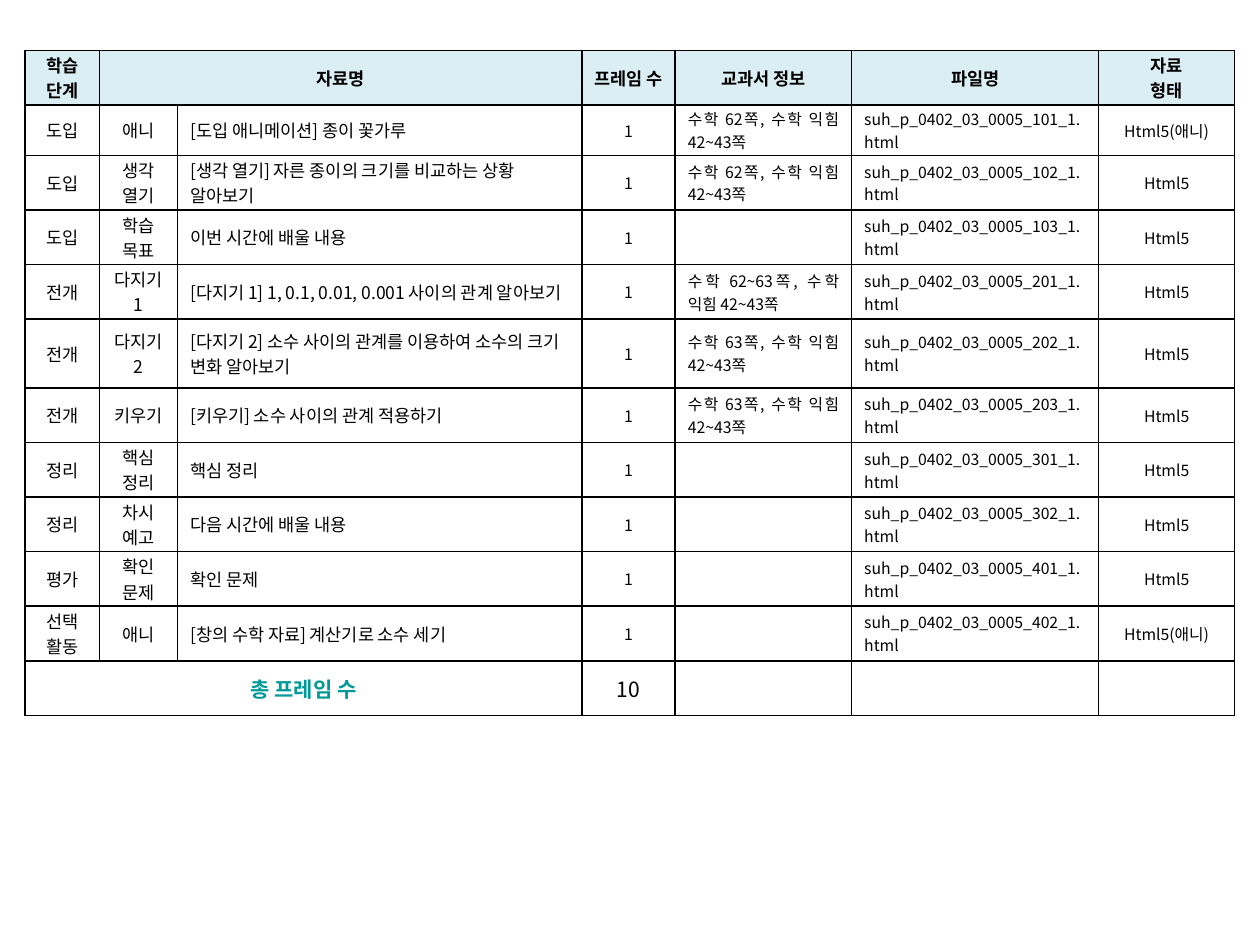
from dataclasses import dataclass

from lxml import etree
from pptx import Presentation
from pptx.dml.color import RGBColor
from pptx.enum.text import MSO_ANCHOR, PP_ALIGN
from pptx.oxml.ns import qn
from pptx.util import Pt

CENTER, LEFT, JUSTIFY = PP_ALIGN.CENTER, PP_ALIGN.LEFT, PP_ALIGN.JUSTIFY
MIDDLE = MSO_ANCHOR.MIDDLE
BLANK_LAYOUT = 6


@dataclass(frozen=True)
class Theme:
    """Colours, type sizes and measures of the slide."""
    font: str = "Noto Sans CJK KR"
    ink: str = "000000"
    accent: str = "009999"
    header_fill: str = "DBEEF4"
    body: int = 10
    small: int = 9
    total: int = 12
    border: int = 1
    side_margin: float = 7.2
    end_margin: int = 1


THEME = Theme()
TABLE_BOX = (14.4, 28.8, 691.2, 380.2)
COLUMN_WIDTHS = (42.5, 44.6, 231.1, 53.3, 100.8, 141.1, 77.8)
ROW_HEIGHTS = (31.2, 28.8, *[31.2] * 3, 39.4, *[31.2] * 6)
ALIGNMENTS = (CENTER, CENTER, LEFT, CENTER, JUSTIFY, JUSTIFY, CENTER)
SIZES = (THEME.body,) * 3 + (THEME.small,) * 4
HEADERS = ("학습 단계", "자료명", "", "프레임 수", "교과서 정보", "파일명", "자료\n형태")
MATERIALS = (
    ("도입", "애니", "[도입 애니메이션] 종이 꽃가루", "62", 101, "Html5(애니)"),
    ("도입", "생각 열기", "[생각 열기] 자른 종이의 크기를 비교하는 상황 알아보기", "62", 102, "Html5"),
    ("도입", "학습 목표", "이번 시간에 배울 내용", "", 103, "Html5"),
    ("전개", "다지기 1", "[다지기 1] 1, 0.1, 0.01, 0.001 사이의 관계 알아보기", "62~63", 201, "Html5"),
    ("전개", "다지기 2", "[다지기 2] 소수 사이의 관계를 이용하여 소수의 크기 변화 알아보기", "63", 202, "Html5"),
    ("전개", "키우기", "[키우기] 소수 사이의 관계 적용하기", "63", 203, "Html5"),
    ("정리", "핵심 정리", "핵심 정리", "", 301, "Html5"),
    ("정리", "차시 예고", "다음 시간에 배울 내용", "", 302, "Html5"),
    ("평가", "확인 문제", "확인 문제", "", 401, "Html5"),
    ("선택 활동", "애니", "[창의 수학 자료] 계산기로 소수 세기", "", 402, "Html5(애니)"),
)


def format_cell(cell, fill=None):
    """Set the borders, fill, margins and anchor of a cell."""
    properties = cell._tc.get_or_add_tcPr()
    for side in ("a:lnL", "a:lnR", "a:lnT", "a:lnB"):
        line = etree.SubElement(properties, qn(side), w=str(Pt(THEME.border)))
        solid = etree.SubElement(line, qn("a:solidFill"))
        etree.SubElement(solid, qn("a:srgbClr"), val=THEME.ink)
    if fill:
        cell.fill.solid()
        cell.fill.fore_color.rgb = RGBColor.from_string(fill)
    else:
        cell.fill.background()
    cell.margin_left = cell.margin_right = Pt(THEME.side_margin)
    cell.margin_top = cell.margin_bottom = Pt(THEME.end_margin)
    cell.vertical_anchor = MIDDLE


def write_cell(cell, text, size, align=CENTER, bold=False, color=THEME.ink):
    """Write each line of the text as a paragraph of the cell."""
    frame = cell.text_frame
    for index, line in enumerate(text.split("\n")):
        para = frame.add_paragraph() if index else frame.paragraphs[0]
        para.alignment = align
        span = para.add_run()
        span.text = line
        span.font.size = Pt(size)
        span.font.bold = bold
        span.font.color.rgb = RGBColor.from_string(color)
        span.font.name = THEME.font
        etree.SubElement(span.font._element, qn("a:ea"), typeface=THEME.font)


def material_texts(stage, activity, title, pages, code, kind):
    """Return the seven cell texts of one material."""
    textbook = f"수학 {pages}쪽, 수학 익힘 42~43쪽" if pages else ""
    return stage, activity, title, "1", textbook, f"suh_p_0402_03_0005_{code}_1.html", kind


def add_material_table(page, box):
    """Place the table of lesson materials in the box."""
    table = page.shapes.add_table(
        len(ROW_HEIGHTS), len(COLUMN_WIDTHS), *map(Pt, box)).table
    table.first_row = table.horz_banding = False
    for column, width in zip(table.columns, COLUMN_WIDTHS):
        column.width = Pt(width)
    for index, (row, height) in enumerate(zip(table.rows, ROW_HEIGHTS)):
        row.height = Pt(height)
        for cell in row.cells:
            format_cell(cell, None if index else THEME.header_fill)

    total_row = len(ROW_HEIGHTS) - 1
    table.cell(0, 1).merge(table.cell(0, 2))
    table.cell(total_row, 0).merge(table.cell(total_row, 2))

    for cell, text in zip(table.rows[0].cells, HEADERS):
        if text:
            write_cell(cell, text, THEME.body, bold=True)
    for index, material in enumerate(MATERIALS, start=1):
        texts = material_texts(*material)
        for cell, text, size, align in zip(table.rows[index].cells, texts, SIZES, ALIGNMENTS):
            if text:
                write_cell(cell, text, size, align)
    write_cell(table.cell(total_row, 0), "총 프레임 수", THEME.total,
               bold=True, color=THEME.accent)
    write_cell(table.cell(total_row, 3), str(len(MATERIALS)), THEME.total)


def main():
    """Build and save the deck."""
    deck = Presentation()
    deck.slide_width, deck.slide_height = Pt(720), Pt(540)
    page = deck.slides.add_slide(deck.slide_layouts[BLANK_LAYOUT])
    add_material_table(page, TABLE_BOX)
    deck.save("out.pptx")


if __name__ == "__main__":
    main()
